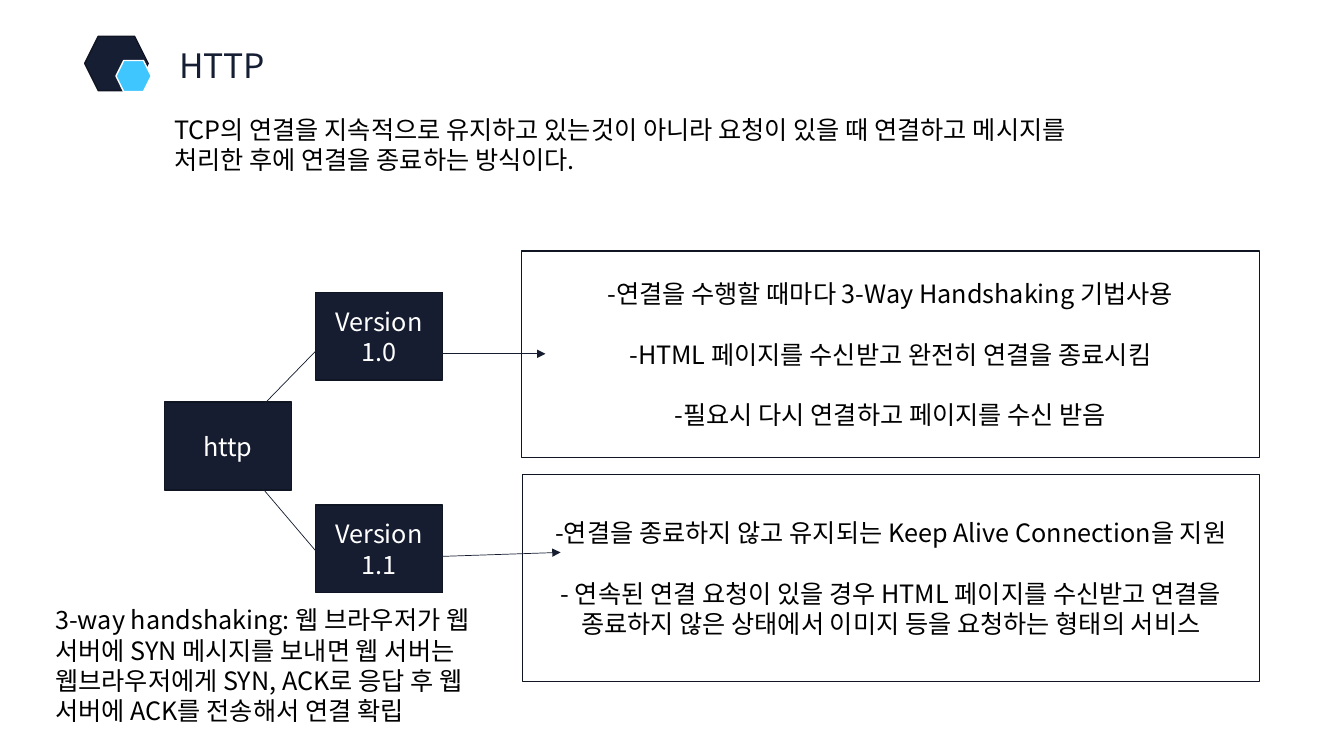
from lxml.etree import SubElement
from pptx import Presentation
from pptx.dml.color import RGBColor
from pptx.enum.shapes import MSO_CONNECTOR, MSO_SHAPE as Preset
from pptx.enum.text import MSO_ANCHOR as Anchor, PP_ALIGN as Align
from pptx.oxml.ns import qn
from pptx.util import Inches, Pt

COLORS = {"navy": "151E33", "box": "161D30", "edge": "101524",
          "sky": "3FC6FE", "white": "FFFFFF", "black": "000000"}
BODY_FONT = "Noto Sans CJK SC"

presentation = Presentation()
presentation.slide_width, presentation.slide_height = Inches(13.33), Inches(7.5)
slide = presentation.slides.add_slide(presentation.slide_layouts[6])


def add_preset(preset, position, fill=None, line=None):
    shape = slide.shapes.add_shape(preset, *map(Inches, position))
    shape.shadow.inherit = False
    for part, color in ((shape.fill, fill), (shape.line.fill, line)):
        if color:
            part.solid()
            part.fore_color.rgb = RGBColor.from_string(COLORS[color])
        else:
            part.background()
    if line:
        shape.line.width = Pt(1)
    return shape


def write(shape, *texts, size=18, color="black", font=BODY_FONT,
          align=Align.CENTER, anchor=Anchor.MIDDLE):
    frame = shape.text_frame
    frame.word_wrap = True
    frame.vertical_anchor = anchor
    for index, text in enumerate(texts):
        paragraph = frame.add_paragraph() if index else frame.paragraphs[0]
        paragraph.alignment = align
        paragraph.line_spacing = Pt(size * 1.2)
        if index:
            paragraph.space_before = Pt(size * 1.2)
        run = paragraph.add_run()
        run.text = text
        run.font.size = Pt(size)
        run.font.name = font
        run.font.color.rgb = RGBColor.from_string(COLORS[color])
        SubElement(run._r.get_or_add_rPr(), qn("a:ea")).set("typeface", font)


# Heading with its hexagon mark
add_preset(Preset.HEXAGON, (0.84, 0.36, 0.63, 0.54), "navy", "edge")
add_preset(Preset.HEXAGON, (1.15, 0.6, 0.35, 0.31), "sky", "white")
heading = add_preset(Preset.ROUND_1_RECTANGLE, (0.21, 0.4, 4.02, 0.71))
write(heading, "HTTP", size=24, color="navy", font="Noto Sans CJK KR", anchor=Anchor.TOP)

# Introduction and handshake note
notes = [
    ((1.63, 1.08, 9.37, 0.71),
     "TCP의 연결을 지속적으로 유지하고 있는것이 아니라 요청이 있을 때 연결하고 "
     "메시지를 처리한 후에 연결을 종료하는 방식이다."),
    ((0.45, 5.95, 4.57, 1.31),
     "3-way handshaking: 웹 브라우저가 웹 서버에 SYN 메시지를 보내면 웹 서버는 "
     "웹브라우저에게 SYN, ACK로 응답 후 웹 서버에 ACK를 전송해서 연결 확립"),
]
for position, text in notes:
    box = slide.shapes.add_textbox(*map(Inches, position))
    write(box, text, align=Align.LEFT, anchor=Anchor.TOP)

# Protocol and version boxes
for left, top, label in [(1.63, 3.99, "http"), (3.13, 5.01, "Version 1.1"),
                         (3.13, 2.9, "Version 1.0")]:
    box = add_preset(Preset.FLOWCHART_PROCESS, (left, top, 1.26, 0.87), "box", "edge")
    write(box, label, color="white")

# Description panels
panels = [
    ((5.17, 2.49, 7.32, 2.05),
     ["-연결을 수행할 때마다 3-Way Handshaking 기법사용",
      "-HTML 페이지를 수신받고 완전히 연결을 종료시킴",
      "-필요시 다시 연결하고 페이지를 수신 받음"]),
    ((5.18, 4.71, 7.31, 2.05),
     ["-연결을 종료하지 않고 유지되는 Keep Alive Connection을 지원",
      "- 연속된 연결 요청이 있을 경우 HTML 페이지를 수신받고 연결을 "
      "종료하지 않은 상태에서 이미지 등을 요청하는 형태의 서비스"]),
]
for position, texts in panels:
    write(add_preset(Preset.RECTANGLE, position, "white", "edge"), *texts)

# Arrows: protocol to versions, versions to panels
for ends in [(2.57, 4.06, 3.28, 3.33), (2.49, 4.71, 3.28, 5.64),
             (4.23, 3.51, 5.41, 3.51), (4.08, 5.53, 5.56, 5.48)]:
    arrow = slide.shapes.add_connector(MSO_CONNECTOR.STRAIGHT, *map(Inches, ends))
    arrow.line.color.rgb = RGBColor.from_string(COLORS["box"])
    arrow.line.width = Pt(0.5)
    SubElement(arrow.line._get_or_add_ln(), qn("a:tailEnd")).set("type", "triangle")
    SubElement(arrow._element.spPr, qn("a:effectLst"))

presentation.save("out.pptx")
